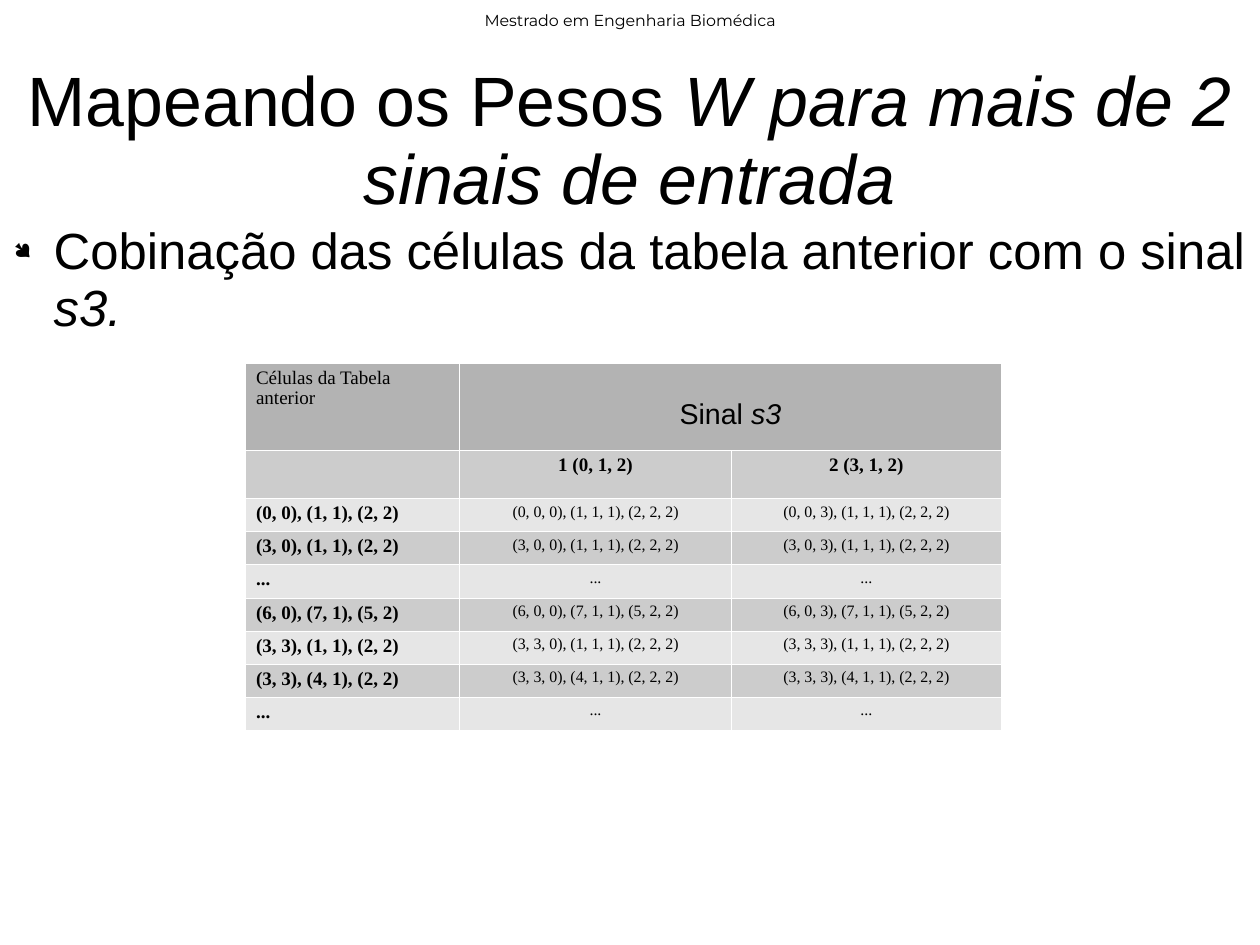
from lxml.etree import SubElement
from pptx import Presentation
from pptx.dml.color import RGBColor
from pptx.enum.text import MSO_ANCHOR, PP_ALIGN
from pptx.oxml.ns import qn
from pptx.util import Cm, Inches, Pt

BLACK = RGBColor(0x00, 0x00, 0x00)
WHITE = RGBColor(0xFF, 0xFF, 0xFF)
HEAD_GREY = RGBColor(0xB3, 0xB3, 0xB3)
MID_GREY = RGBColor(0xCC, 0xCC, 0xCC)
LIGHT_GREY = RGBColor(0xE6, 0xE6, 0xE6)
SERIF = "Times New Roman"
SLIDE_W, SLIDE_H = Cm(28), Cm(21)

COL_WIDTHS = [1.88, 2.38, 2.36]
ROW_HEIGHTS = [0.76, 0.42] + [0.29] * 7
SIGNAL_S3 = {"1": (0, 1, 2), "2": (3, 1, 2)}
GAP = None
PREVIOUS_CELLS = [
    [(0, 0), (1, 1), (2, 2)],
    [(3, 0), (1, 1), (2, 2)],
    GAP,
    [(6, 0), (7, 1), (5, 2)],
    [(3, 3), (1, 1), (2, 2)],
    [(3, 3), (4, 1), (2, 2)],
    GAP,
]


def write(p, parts, size, font="Arial", align=PP_ALIGN.LEFT, bold=False, spacing=0.93):
    """Fill a paragraph with (text, italic) parts."""
    p.alignment = align
    p.line_spacing = spacing
    for text, italic in parts:
        r = p.add_run()
        r.text = text
        r.font.size = Pt(size)
        r.font.name = font
        r.font.bold = bold
        r.font.italic = italic
        r.font.color.rgb = BLACK


def add_text(slide, box, margins, anchor):
    sp = slide.shapes.add_textbox(*box)
    tf = sp.text_frame
    tf.word_wrap = True
    tf.vertical_anchor = anchor
    tf.margin_left, tf.margin_top, tf.margin_right, tf.margin_bottom = (
        Inches(v) for v in margins)
    return tf.paragraphs[0]


def add_header(slide, box):
    p = add_text(slide, box, (0.1, 0.05, 0.1, 0.05), MSO_ANCHOR.MIDDLE)
    write(p, [("Mestrado em Engenharia Biomédica", False)], 10, "Montserrat",
          PP_ALIGN.CENTER, spacing=1.18)


def add_title(slide, box):
    p = add_text(slide, box, (0, 0.04, 0, 0), MSO_ANCHOR.MIDDLE)
    write(p, [("Mapeando os Pesos ", False),
              ("W para mais de 2 sinais de entrada", True)], 44, align=PP_ALIGN.CENTER)


def add_body(slide, box):
    p = add_text(slide, box, (0, 0.03, 0, 0), MSO_ANCHOR.TOP)
    pPr = p._p.get_or_add_pPr()
    pPr.set("marL", str(Inches(0.47)))
    pPr.set("indent", str(Inches(-0.35)))
    color = SubElement(pPr, qn("a:buClr"))
    SubElement(color, qn("a:srgbClr"), val=str(BLACK))
    SubElement(pPr, qn("a:buSzPct"), val="45000")
    SubElement(pPr, qn("a:buFont"), typeface="Wingdings", charset="2")
    SubElement(pPr, qn("a:buChar"), char="●")
    p.space_after = Pt(14.3)
    write(p, [("Cobinação das células da tabela anterior com o sinal ", False),
              ("s3.", True)], 32)


def set_borders(cell):
    tcPr = cell._tc.get_or_add_tcPr()
    for i, side in enumerate(("a:lnL", "a:lnR", "a:lnT", "a:lnB")):
        ln = tcPr.makeelement(qn(side), {"w": str(Pt(0.06))})
        fill = SubElement(ln, qn("a:solidFill"))
        SubElement(fill, qn("a:srgbClr"), val=str(WHITE))
        tcPr.insert(i, ln)


def row_fill(row):
    if row == 0:
        return HEAD_GREY
    return MID_GREY if row % 2 else LIGHT_GREY


def join_tuples(tuples):
    return ", ".join(str(t) for t in tuples)


def add_weights_table(slide, box):
    tbl = slide.shapes.add_table(len(ROW_HEIGHTS), len(COL_WIDTHS), *box).table
    for col, width in zip(tbl.columns, COL_WIDTHS):
        col.width = Inches(width)
    for r, height in enumerate(ROW_HEIGHTS):
        tbl.rows[r].height = Inches(height)
        for cell in tbl.rows[r].cells:
            cell.fill.solid()
            cell.fill.fore_color.rgb = row_fill(r)
            set_borders(cell)

    def put(row, col, parts, size, font=SERIF, **style):
        write(tbl.cell(row, col).text_frame.paragraphs[0], parts, size, font, **style)

    # Header rows
    tbl.cell(0, 1).merge(tbl.cell(0, 2))
    tbl.cell(0, 1).margin_top = Inches(0.33)
    put(0, 0, [("Células da Tabela anterior", False)], 12)
    put(0, 1, [("Sinal ", False), ("s3", True)], 18, "Arial", align=PP_ALIGN.CENTER)
    for c, (name, values) in enumerate(SIGNAL_S3.items(), 1):
        put(1, c, [(f"{name} {values}", False)], 12, align=PP_ALIGN.CENTER, bold=True)

    # Each earlier cell combined with each set of s3 values
    for r, pairs in enumerate(PREVIOUS_CELLS, 2):
        label = join_tuples(pairs) if pairs else "..."
        put(r, 0, [(label, False)], 12, align=PP_ALIGN.JUSTIFY, bold=True)
        for c, values in enumerate(SIGNAL_S3.values(), 1):
            text = "..."
            if pairs:
                text = join_tuples((*pair, v) for pair, v in zip(pairs, values))
            put(r, c, [(text, False)], 10, align=PP_ALIGN.CENTER)


def main():
    prs = Presentation()
    prs.slide_width, prs.slide_height = SLIDE_W, SLIDE_H
    slide = prs.slides.add_slide(prs.slide_layouts[6])
    add_header(slide, (0, Inches(0.02), SLIDE_W, Inches(0.29)))
    add_title(slide, (0, Inches(0.54), SLIDE_W, Inches(1.37)))
    add_body(slide, (0, Inches(1.93), SLIDE_W, Inches(6.33)))
    add_weights_table(slide, (Inches(2.14), Inches(3.18),
                              Inches(sum(COL_WIDTHS)), Inches(sum(ROW_HEIGHTS))))
    prs.save("out.pptx")


if __name__ == "__main__":
    main()
